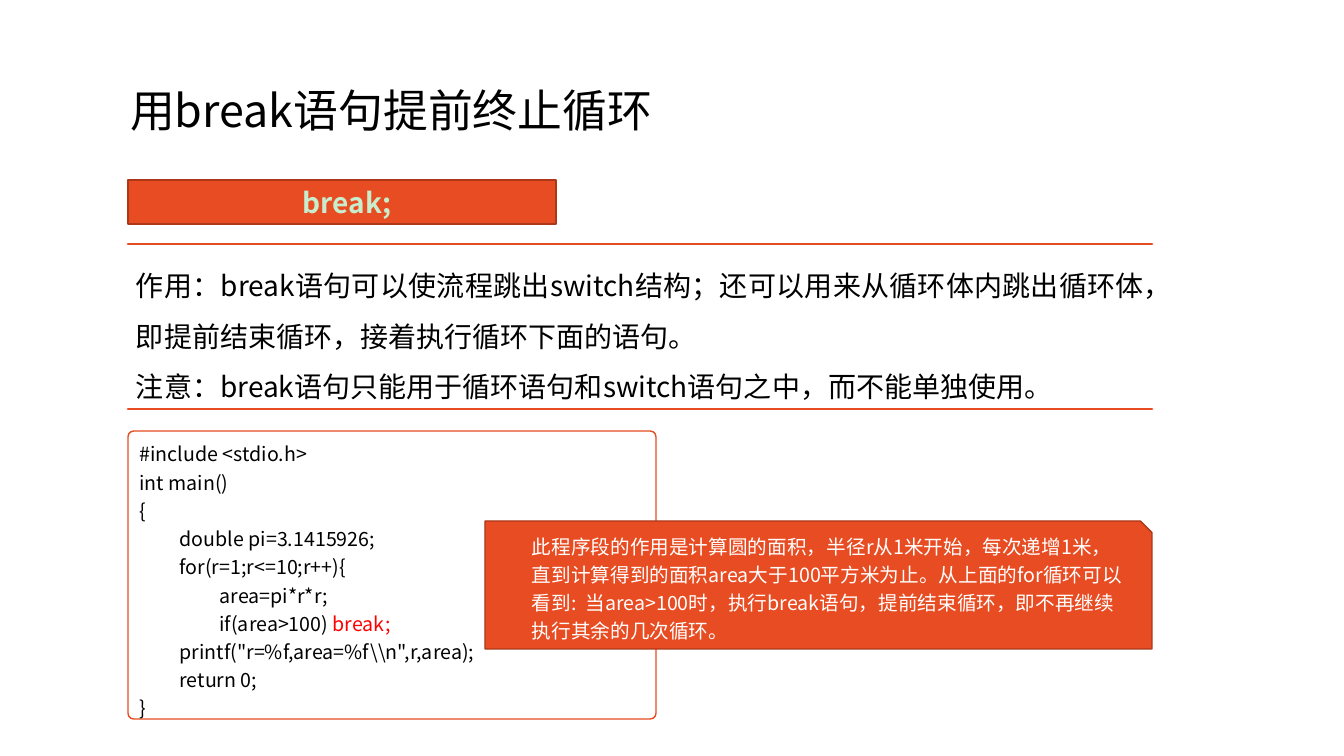
from lxml.etree import SubElement
from pptx import Presentation
from pptx.dml.color import RGBColor
from pptx.enum.shapes import MSO_SHAPE
from pptx.enum.text import MSO_ANCHOR, MSO_AUTO_SIZE, PP_ALIGN
from pptx.oxml.ns import qn
from pptx.util import Pt

FONT = "Noto Sans CJK SC"
ORANGE = RGBColor(0xE8, 0x4C, 0x22)
RUST = RGBColor(0xAC, 0x38, 0x19)
MINT = RGBColor(0xC7, 0xED, 0xCC)
RED = RGBColor(0xFF, 0x00, 0x00)
BLACK = RGBColor(0x00, 0x00, 0x00)
WHITE = RGBColor(0xFF, 0xFF, 0xFF)

TITLE = "用break语句提前终止循环"
KEYWORD = "break;"
RULES = [
    "作用：break语句可以使流程跳出switch结构；还可以用来从循环体内跳出循环体，即提前结束循环，接着执行循环下面的语句。",
    "注意：break语句只能用于循环语句和switch语句之中，而不能单独使用。",
]
CODE = [
    "#include <stdio.h>",
    "int main()",
    "{",
    "\tdouble pi=3.1415926;",
    "\tfor(r=1;r<=10;r++){",
    "\t\tarea=pi*r*r;",
    "\t\tif(area>100) break;",
    r'	printf("r=%f,area=%f\\n",r,area);',
    "\treturn 0;",
    "}",
]
NOTE = ("此程序段的作用是计算圆的面积，半径r从1米开始，每次递增1米，直到计算得到的面积area大于100平方米为止。"
        "从上面的for循环可以看到:  当area>100时，执行break语句，提前结束循环，即不再继续执行其余的几次循环。")

PX = 914400 / 100.8
LEFT, RIGHT = 128, 1152
RULE_TOP, RULE_BOTTOM = 244, 409
TAB = 40


def px(*lengths):
    """Turn pixel lengths into EMU."""
    return [round(length * PX) for length in lengths]


def write(shape, lines, size, color, spacing, align=PP_ALIGN.LEFT,
          anchor=MSO_ANCHOR.TOP, bold=False, tabs=(), accent=None):
    """Fill a shape with evenly formatted paragraphs."""
    frame = shape.text_frame
    frame.word_wrap = True
    frame.vertical_anchor = anchor
    for index, line in enumerate(lines):
        para = frame.add_paragraph() if index else frame.paragraphs[0]
        before, found, after = line.partition(accent) if accent else (line, "", "")
        for piece in filter(None, (before, found, after)):
            span = para.add_run()
            span.text = piece
            if piece == accent:
                span.font.color.rgb = RED
        para.alignment = align
        para.line_spacing = spacing
        if tabs:
            stops = SubElement(para._p.get_or_add_pPr(), qn("a:tabLst"))
            for stop in px(*tabs):
                SubElement(stops, qn("a:tab"), pos=str(stop), algn="l")
        font = para.font
        font.size, font.bold, font.name = Pt(size), bold, FONT
        font.color.rgb = color
        SubElement(para._p.pPr.find(qn("a:defRPr")), qn("a:ea"), typeface=FONT)


def paint(shape, line, width, fill=None):
    """Set the outline and fill of a shape."""
    shape.shadow.inherit = False
    shape.line.color.rgb = line
    shape.line.width = Pt(width)
    if fill is None:
        shape.fill.background()
    else:
        shape.fill.solid()
        shape.fill.fore_color.rgb = fill


def main():
    """Build the slide on the break statement."""
    deck = Presentation()
    deck.slide_width, deck.slide_height = px(1344, 756)
    page = deck.slides.add_slide(deck.slide_layouts[5])
    page.background.fill.solid()
    page.background.fill.fore_color.rgb = WHITE
    shapes = page.shapes

    title = shapes.title
    title.left, title.top, title.width, title.height = px(120, 40, 653, 146)
    title.text_frame.auto_size = MSO_AUTO_SIZE.NONE
    write(title, [TITLE], 32, BLACK, 0.9, anchor=MSO_ANCHOR.MIDDLE)

    keyword = shapes.add_shape(MSO_SHAPE.RECTANGLE, *px(LEFT, 180, 428, 44))
    paint(keyword, RUST, 1, ORANGE)
    keyword.text_frame.margin_left = px(20)[0]
    write(keyword, [KEYWORD], 20, MINT, 1.0, PP_ALIGN.CENTER, MSO_ANCHOR.MIDDLE, True)

    outline = shapes.build_freeform(LEFT, RULE_BOTTOM, scale=PX)
    outline.add_line_segments([(RIGHT, RULE_BOTTOM)])
    outline.move_to(LEFT, RULE_TOP)
    outline.add_line_segments([(RIGHT, RULE_TOP)])
    rules = outline.convert_to_shape()
    paint(rules, ORANGE, 2)
    frame = rules.text_frame
    frame.margin_left = frame.margin_top = frame.margin_right = frame.margin_bottom = px(8)[0]
    write(rules, RULES, 20, BLACK, 1.5, PP_ALIGN.JUSTIFY)

    code = shapes.add_shape(MSO_SHAPE.ROUNDED_RECTANGLE, *px(LEFT, 431, 528, 288))
    code.adjustments[0] = 0.02
    paint(code, ORANGE, 1, WHITE)
    write(code, CODE, 14, BLACK, 1.2, tabs=(TAB, 2 * TAB), accent=KEYWORD)

    callout = shapes.add_group_shape().shapes
    card = callout.add_shape(MSO_SHAPE.SNIP_1_RECTANGLE, *px(485, 521, RIGHT - 485, 128))
    card.adjustments[0] = 0.09
    paint(card, RUST, 1, ORANGE)
    note = callout.add_textbox(*px(522, 525, 614, 124))
    write(note, [NOTE], 14, WHITE, 1.2)

    deck.save("out.pptx")


if __name__ == "__main__":
    main()
